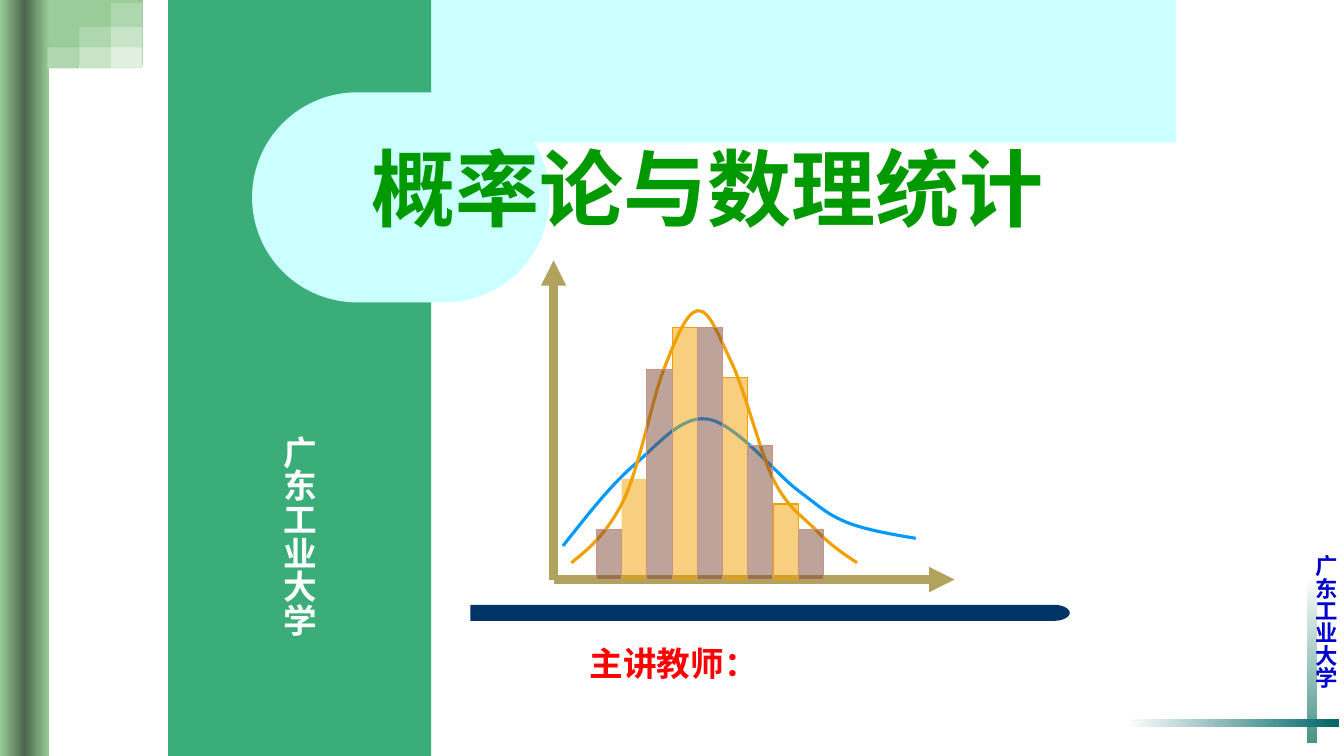
from copy import deepcopy
from dataclasses import dataclass

from lxml import etree
from pptx import Presentation
from pptx import util as u
from pptx.dml import color as dye
from pptx.enum import shapes, text
from pptx.oxml import ns

KIND = shapes.MSO_SHAPE


@dataclass(frozen=True)
class Theme:
    """Colours, fonts and type sizes of the cover."""
    leaf: str = "99CC99"
    moss: str = "4A644A"
    tints: tuple = ("AFD7AF", "C8E4C8", "E0F0E0")
    white: str = "FFFFFF"
    sage: str = "489486"
    teal: str = "006666"
    blue: str = "0000CC"
    ice: str = "CCFFFF"
    jade: str = "3BAD79"
    navy: str = "003366"
    red: str = "FF0000"
    green: str = "009900"
    sand: str = "B1A35D"
    sky: str = "0099FF"
    gold: str = "F0A000"
    brown: str = "7C4836"
    clay: str = "C89380"
    sans: str = "Arial"
    serif: str = "Times New Roman"
    large: int = 60
    body: int = 24
    small: int = 16


def cell(n):
    """Turn grid cells, twelve to the inch, into a length."""
    return u.Inches(n / 12)


def rgb(code):
    """Read a colour code."""
    return dye.RGBColor.from_string(code)


def write(box, words, font, size, tone, wrap=True, grow=True, down=False, space=None):
    """Set bold, left-aligned words in a box."""
    frame = box.text_frame
    frame.word_wrap = wrap
    fit = text.MSO_AUTO_SIZE
    frame.auto_size = fit.SHAPE_TO_FIT_TEXT if grow else fit.NONE
    if down:
        box.element.txBody.find(ns.qn("a:bodyPr")).set("vert", "eaVert")
    para = frame.paragraphs[0]
    para.alignment = text.PP_ALIGN.LEFT
    if space:
        para.line_spacing = space
    run = para.add_run()
    run.text = words
    run.font.name, run.font.size, run.font.bold = font, u.Pt(size), True
    run.font.color.rgb = rgb(tone)


def curve(shape, span):
    """Turn each three straight segments of a span into one cubic curve."""
    lines = shape.element.findall(".//" + ns.qn("a:lnTo"))[span]
    for i in range(0, len(lines), 3):
        trio = lines[i:i + 3]
        bend = etree.Element(ns.qn("a:cubicBezTo"))
        trio[0].addprevious(bend)
        for line in trio:
            bend.append(line[0])
            line.getparent().remove(line)


class Cover:
    """Draws the elements of one slide on a grid of 160 by 90 cells."""

    def __init__(self, deck, theme):
        """Add a title-only slide."""
        self.theme = theme
        self.slide = deck.slides.add_slide(deck.slide_layouts[5])
        self.items = self.slide.shapes

    def paint(self, shape, fill=None, line=None, width=0.75):
        """Set the fill and outline of a shape."""
        shape.shadow.inherit = False
        if fill:
            shape.fill.solid()
            shape.fill.fore_color.rgb = rgb(fill)
        else:
            shape.fill.background()
        if line:
            shape.line.color.rgb = rgb(line)
            shape.line.width = u.Pt(width)
        else:
            shape.line.fill.background()

    def block(self, x, y, w, h, fill, kind=KIND.RECTANGLE, line=None, bend=None, alpha=None):
        """Add a filled preset shape."""
        shape = self.items.add_shape(kind, *map(cell, (x, y, w, h)))
        self.paint(shape, fill, line)
        if bend is not None:
            shape.adjustments[0] = bend
        if alpha:
            tone = shape.element.spPr.find(ns.qn("a:solidFill"))[0]
            etree.SubElement(tone, ns.qn("a:alpha")).set("val", str(alpha * 1000))
        return shape

    def fade(self, x, y, w, h, tones, angle=0):
        """Add a bar with evenly spaced gradient stops."""
        shape = self.block(x, y, w, h, tones[0])
        fill = shape.fill
        fill.gradient()
        fill.gradient_angle = angle
        stops = shape.element.spPr.find(".//" + ns.qn("a:gsLst"))
        while len(stops) < len(tones):
            stops.append(deepcopy(stops[-1]))
        for i, (stop, tone) in enumerate(zip(fill.gradient_stops, tones)):
            stop.color.rgb = rgb(tone)
            stop.position = i / (len(tones) - 1)

    def outline(self, dots, span=slice(None), fill=None, line=None, width=2.25):
        """Add a freeform whose segments within the span are curves."""
        dots = [tuple(map(cell, dot)) for dot in dots]
        pen = self.items.build_freeform(*dots[0])
        pen.add_line_segments(dots[1:], close=fill is not None)
        shape = pen.convert_to_shape()
        curve(shape, span)
        self.paint(shape, fill, line, width)

    def arrow(self, x, y, to_x, to_y):
        """Add an axis with an arrowhead."""
        axis = self.items.add_connector(
            shapes.MSO_CONNECTOR.STRAIGHT, *map(cell, (x, y, to_x, to_y)))
        axis.line.color.rgb = rgb(self.theme.sand)
        axis.line.width = u.Pt(6)
        props = axis.element.spPr
        etree.SubElement(props.find(ns.qn("a:ln")), ns.qn("a:tailEnd")).set("type", "triangle")
        etree.SubElement(props, ns.qn("a:effectLst"))

    def label(self, x, y, w, h, words, **style):
        """Add a text box."""
        write(self.items.add_textbox(*map(cell, (x, y, w, h))), words, **style)

    def title(self, x, y, w, h, words, **style):
        """Place the title in front of all else."""
        head = self.items.title
        head.left, head.top, head.width, head.height = map(cell, (x, y, w, h))
        head.text_frame.vertical_anchor = text.MSO_ANCHOR.MIDDLE
        write(head, words, grow=False, **style)
        head.element.getparent().append(head.element)


def frame(cover, theme, school):
    """Draw the ornaments along the edges."""
    corner = [(17, 0), (17, 7.8), (6.48, 7.8), (6.24, 7.8), (5.88, 7.92), (5.76, 8.04),
              (5.52, 8.28), (5.4, 8.64), (5.28, 8.88), (5.16, 9.36), (5.16, 9.72),
              (5.04, 10.08), (5.04, 10.44), (5.04, 10.8), (5.04, 11.88), (3.5, 11.88),
              (3.5, 7.8), (3.5, 0)]
    cover.outline(corner, span=slice(4, 13), fill=theme.leaf)
    cover.fade(0, 0, 5.85, 90, (theme.leaf, theme.moss, theme.leaf))
    cover.fade(155.6, 68.6, 1.2, 19.8, (theme.white, theme.sage), angle=270)
    cover.fade(134.16, 85.6, 25.2, 0.96, (theme.white, theme.teal))
    rows = ((0.36, 3.36), (3.24, 2.52), (5.64, 2.52))
    for shade, tint in enumerate(theme.tints):
        for col in range(shade, 3):
            top, high = rows[shade + 2 - col]
            cover.block(5.68 + 3.76 * col, top, 3.76, high, tint)
    cover.label(154.32, 64.9, 5.64, 18.48, school, font=theme.serif, size=theme.small,
                tone=theme.blue, wrap=False, down=True)


def chart(cover, theme):
    """Draw the axes, the two bell curves and the bars."""
    left, base = 65.9, 69
    cover.arrow(left, base, left, 31)
    cover.arrow(left, base, 113.6, base)
    low = [(67, 65), (69.7, 61.6), (72.4, 58.1), (75.2, 55.6), (78.1, 53.2), (81, 49.4),
           (84.2, 49.9), (87.6, 50.4), (92.3, 56.4), (95, 58.4), (97.8, 60.5), (98.4, 61.2),
           (100.8, 62.2), (103.1, 63.1), (106.1, 63.6), (109, 64.1)]
    high = [(68, 67), (70, 65.4), (72, 63.8), (74, 60), (76, 56.2), (77.5, 47.9), (79, 44),
            (80.5, 40.2), (81.7, 37.2), (83, 37), (84.4, 36.8), (85.4, 39.7), (87, 43),
            (88.6, 46.3), (90.4, 53.6), (92, 57), (93.7, 60.4), (95.3, 61.3), (97, 63),
            (98.6, 64.7), (100.3, 65.9), (102, 67)]
    for knots, tone in ((low, theme.sky), (high, theme.gold)):
        cover.outline(knots, line=tone)
    bars = (6, 12, 25, 30, 30, 24, 16, 9, 6)
    for first, fill, edge in ((1, theme.gold, theme.gold), (0, theme.brown, theme.clay)):
        for i in range(first, len(bars), 2):
            cover.block(71 + 3 * i, base - bars[i], 3, bars[i], fill,
                        line=None if i == 1 else edge, alpha=50)


def main():
    """Build and save the cover."""
    deck = Presentation()
    deck.slide_width, deck.slide_height = u.Inches(13.33), u.Inches(7.5)
    theme = Theme()
    cover = Cover(deck, theme)
    school = "广东工业大学"
    frame(cover, theme, school)
    cover.block(24, 0, 116, 17, theme.ice)
    chart(cover, theme)
    cover.block(20, 0, 31.32, 90, theme.jade)
    cover.block(56, 72, 67.68, 1.92, theme.navy, kind=KIND.ROUNDED_RECTANGLE, bend=0)
    cover.block(123.48, 72, 3.84, 1.92, theme.navy, kind=KIND.FLOWCHART_DELAY)
    cover.label(24.12, 50.7, 14.52, 27.36, school, font=theme.sans, size=theme.body,
                tone=theme.white, down=True)
    cover.label(69, 76, 36.36, 6, "主讲教师：", font=theme.serif, size=theme.body, tone=theme.red)
    cover.block(30, 11, 35.4, 25, theme.ice, kind=KIND.ROUNDED_RECTANGLE, bend=0.5)
    cover.title(43, 16, 88, 14, "概率论与数理统计", font=theme.sans, size=theme.large,
                tone=theme.green, space=0.9)
    deck.save("out.pptx")


if __name__ == "__main__":
    main()
